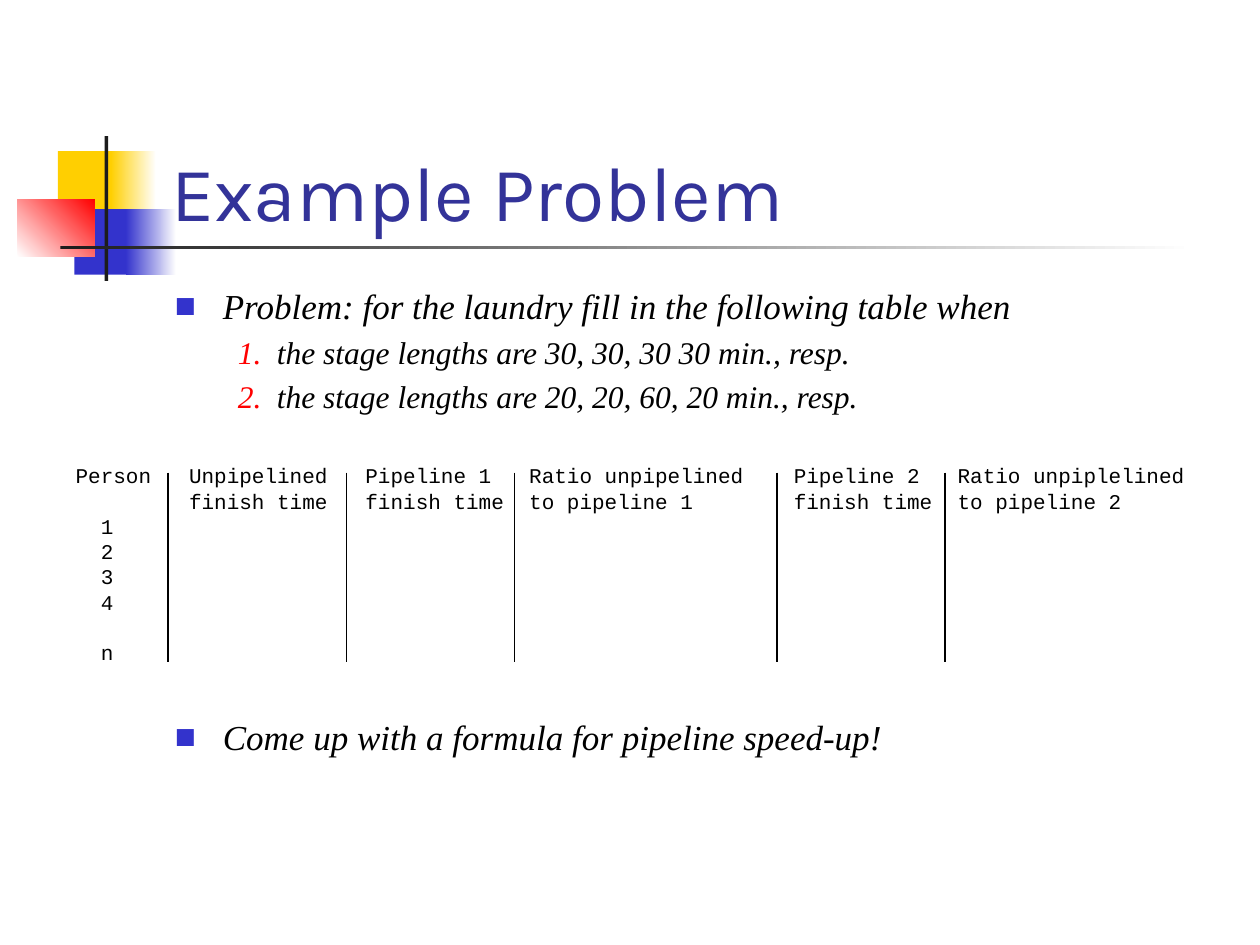
"""Build the pipeline example problem slide with its blank exercise table."""
from dataclasses import dataclass
from typing import Optional

import pptx
import pptx.dml.color
import pptx.enum.shapes
import pptx.enum.text
import pptx.oxml
import pptx.oxml.ns
import pptx.util

COLORS = {
    "yellow": "FFCF01", "blue": "3333CC", "red": "FF0000", "dark": "1C1C1C",
    "white": "FFFFFF", "title": "333399", "black": "000000",
}
WIDTH, HEIGHT = pptx.util.Inches(10), pptx.util.Inches(7.5)
GRID_COLUMNS = 120
CHARACTER = 0.1
ROW = 0.2
LINE_PITCH = 14.4
TABLE_LEFT, TABLE_TOP = 0.6, 3.69


@dataclass(frozen=True)
class Block:
    left: float
    top: float
    width: float
    height: float
    color: str
    fade_to: Optional[str] = None
    angle: float = 0


@dataclass(frozen=True)
class Bullet:
    text: str
    number: Optional[int] = None


@dataclass(frozen=True)
class Column:
    heading: tuple[str, ...]
    characters: int


BLOCKS = (
    Block(0.46, 1.2, 0.48, 0.52, "yellow"),
    Block(0.88, 1.2, 0.36, 0.52, "yellow", "white"),
    Block(0.59, 1.66, 0.46, 0.52, "blue"),
    Block(1, 1.66, 0.4, 0.52, "blue", "white"),
    Block(0.14, 1.58, 0.61, 0.46, "white", "red", 45),
    Block(0.83, 1.08, 0.03, 1.15, "dark"),
    Block(0.48, 1.95, 9, 0.03, "dark", "white"),
)
PROBLEM = (
    Bullet("Problem: for the laundry fill in the following table when"),
    Bullet("the stage lengths are 30, 30, 30 30 min., resp.", 1),
    Bullet("the stage lengths are 20, 20, 60, 20 min., resp.", 2),
)
CONCLUSION = (Bullet("Come up with a formula for pipeline speed-up!"),)
COLUMNS = (
    Column(("Person",), 9),
    Column(("Unpipelined", "finish time"), 14),
    Column(("Pipeline 1", "finish time"), 13),
    Column(("Ratio unpipelined", "to pipeline 1"), 21),
    Column(("Pipeline 2", "finish time"), 13),
    Column(("Ratio unpiplelined", "to pipeline 2"), 19),
)
PERSONS = ("1", "2", "3", "4", "", "n")
DIVIDERS = (16, 33, 49, 74, 90)


def rgb(name: str) -> pptx.dml.color.RGBColor:
    return pptx.dml.color.RGBColor.from_string(COLORS[name])


def write(paragraph, text: str, *, font: str, size: float, color: str = "black",
          italic: bool = False, pitch: Optional[float] = None) -> None:
    if pitch:
        paragraph.line_spacing = pptx.util.Pt(pitch)
    if not text:
        ending = pptx.oxml.ns.qn("a:endParaRPr")
        paragraph._p.append(paragraph._p.makeelement(ending, {"sz": str(int(size * 100))}))
        return
    run = paragraph.add_run()
    run.text = text
    run.font.name = font
    run.font.size = pptx.util.Pt(size)
    run.font.color.rgb = rgb(color)
    run.font.italic = italic


def add_block(slide, block: Block) -> None:
    shape = slide.shapes.add_shape(
        pptx.enum.shapes.MSO_SHAPE.RECTANGLE,
        *(pptx.util.Inches(length) for length in
          (block.left, block.top, block.width, block.height)))
    shape.shadow.inherit = False
    shape.line.fill.background()
    if block.fade_to is None:
        shape.fill.solid()
        shape.fill.fore_color.rgb = rgb(block.color)
        return
    shape.fill.gradient()
    shape.fill.gradient_angle = block.angle
    for stop, color, position in zip(shape.fill.gradient_stops,
                                     (block.color, block.fade_to), (0, 1)):
        stop.color.rgb = rgb(color)
        stop.position = position


def add_text_frame(slide, left: float, top: float, width: float, height: float):
    box = slide.shapes.add_textbox(
        *(pptx.util.Inches(length) for length in (left, top, width, height)))
    box.text_frame.word_wrap = True
    return box.text_frame


def add_marker(paragraph, bullet: Bullet) -> None:
    margin, indent = (0.38, -0.38) if bullet.number is None else (0.81, -0.31)
    properties = paragraph._p.get_or_add_pPr()
    properties.set("marL", str(pptx.util.Inches(margin)))
    properties.set("indent", str(pptx.util.Inches(indent)))
    color = COLORS["blue" if bullet.number is None else "red"]
    marker = ('<a:buChar {0} char="■"/>' if bullet.number is None
              else '<a:buAutoNum {0} type="arabicPeriod"/>')
    namespace = pptx.oxml.ns.nsdecls("a")
    for template in (f'<a:buClr {{0}}><a:srgbClr val="{color}"/></a:buClr>',
                     '<a:buFont {0} typeface="Times New Roman"/>', marker):
        properties.append(pptx.oxml.parse_xml(template.format(namespace)))


def add_bullets(slide, bullets: tuple[Bullet, ...], top: float, height: float) -> None:
    frame = add_text_frame(slide, 1.29, top, 8.5, height)
    for index, bullet in enumerate(bullets):
        paragraph = frame.add_paragraph() if index else frame.paragraphs[0]
        if bullet.number is not None:
            paragraph.level = 1
            paragraph.space_before = pptx.util.Pt(3.6)
        add_marker(paragraph, bullet)
        write(paragraph, bullet.text, font="Times New Roman", italic=True,
              size=20 if bullet.number is None else 18)


def fill_cell(cell, lines: tuple[str, ...], indent: float = 0) -> None:
    cell.fill.background()
    cell.margin_left = pptx.util.Inches(indent)
    cell.margin_right = cell.margin_top = cell.margin_bottom = 0
    for index, line in enumerate(lines):
        paragraph = cell.text_frame.add_paragraph() if index else cell.text_frame.paragraphs[0]
        write(paragraph, line, font="Courier New", size=12, pitch=LINE_PITCH)


def add_exercise_table(slide) -> None:
    width = sum(column.characters for column in COLUMNS) * CHARACTER
    table = slide.shapes.add_table(
        len(PERSONS) + 1, len(COLUMNS),
        *(pptx.util.Inches(length) for length in
          (TABLE_LEFT, TABLE_TOP, width, ROW * (len(PERSONS) + 2)))).table
    table.first_row = table.horz_banding = False
    for index, column in enumerate(COLUMNS):
        table.columns[index].width = pptx.util.Inches(column.characters * CHARACTER)
        fill_cell(table.cell(0, index), column.heading)
        for row, person in enumerate(PERSONS, start=1):
            fill_cell(table.cell(row, index), ("" if index else person,), 2 * CHARACTER)
    for index, row in enumerate(table.rows):
        row.height = pptx.util.Inches(ROW if index else 2 * ROW)


def add_divider(slide, column: int) -> None:
    x = int(WIDTH * column / GRID_COLUMNS)
    line = slide.shapes.add_connector(
        pptx.enum.shapes.MSO_CONNECTOR.STRAIGHT, x, int(HEIGHT * 0.5), x, int(HEIGHT * 0.7))
    line.line.color.rgb = rgb("black")
    line.line.width = pptx.util.Pt(0.75)
    line._element.spPr.append(
        pptx.oxml.parse_xml(f'<a:effectLst {pptx.oxml.ns.nsdecls("a")}/>'))


def main() -> None:
    presentation = pptx.Presentation()
    presentation.slide_width, presentation.slide_height = WIDTH, HEIGHT
    slide = presentation.slides.add_slide(presentation.slide_layouts[6])
    for block in BLOCKS:
        add_block(slide, block)
    title = add_text_frame(slide, 1.26, 0.68, 8.52, 1.25)
    title.vertical_anchor = pptx.enum.text.MSO_ANCHOR.BOTTOM
    write(title.paragraphs[0], "Example Problem", font="Karla", size=44, color="title")
    add_bullets(slide, PROBLEM, top=2.21, height=1.2)
    add_bullets(slide, CONCLUSION, top=5.63, height=0.45)
    add_exercise_table(slide)
    for column in DIVIDERS:
        add_divider(slide, column)
    presentation.save("out.pptx")


if __name__ == "__main__":
    main()
